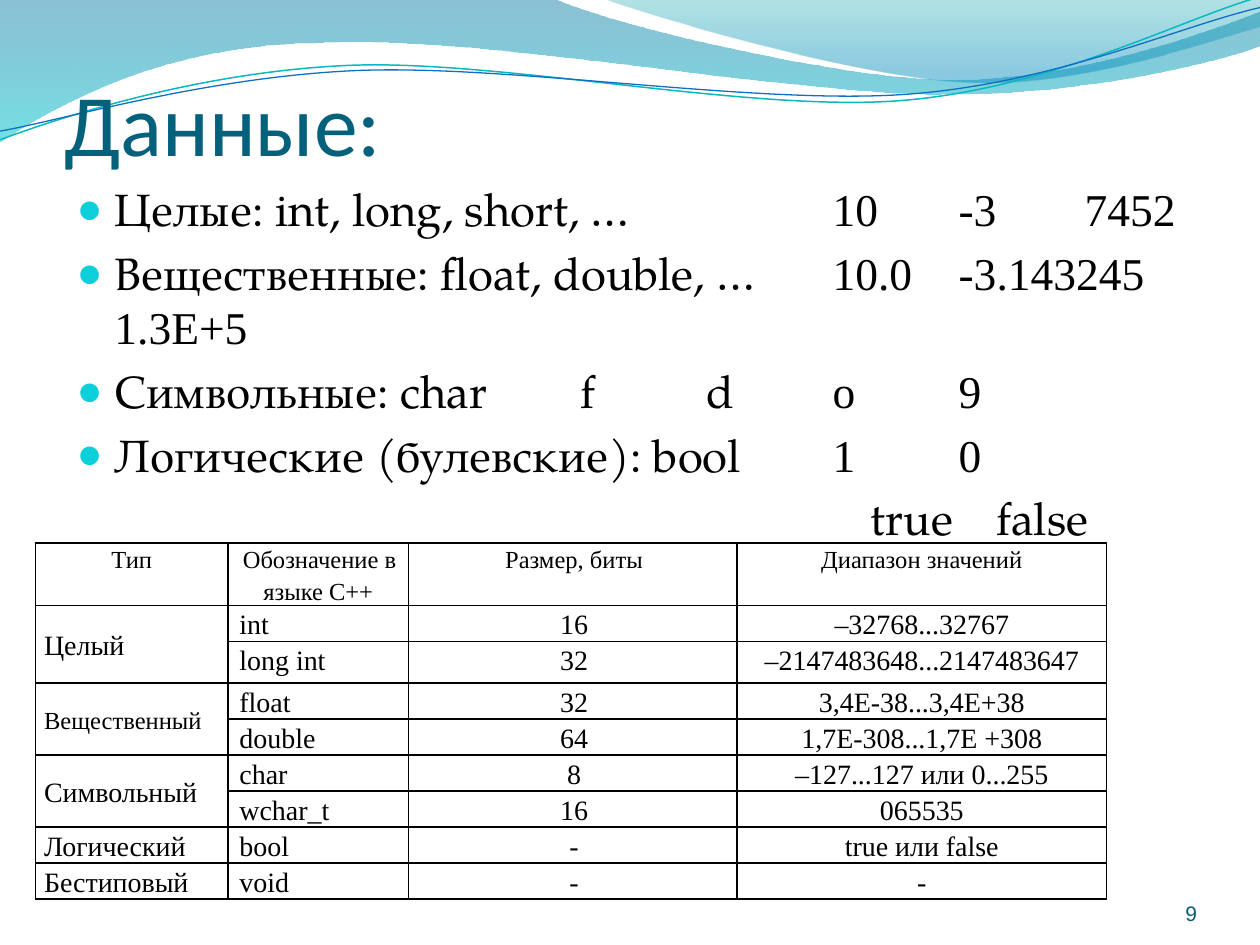
from lxml import etree
from pptx import Presentation
from pptx.dml.color import RGBColor
from pptx.enum.text import MSO_ANCHOR, PP_ALIGN
from pptx.oxml.ns import qn
from pptx.util import Pt

LEFT, MID, RIGHT = PP_ALIGN.LEFT, PP_ALIGN.CENTER, PP_ALIGN.RIGHT
TOP, HALF, LOW = MSO_ANCHOR.TOP, MSO_ANCHOR.MIDDLE, MSO_ANCHOR.BOTTOM

BLACK = RGBColor(0x00, 0x00, 0x00)
TEAL = RGBColor(0x04, 0x61, 0x7B)
DEEP = RGBColor(0x04, 0x5D, 0x75)
AQUA = RGBColor(0x0A, 0xB8, 0xBF)
BLUE = RGBColor(0x0F, 0x6F, 0xC6)
CYAN = RGBColor(0x0B, 0xD0, 0xD9)
SEA = RGBColor(0x00, 0x74, 0xA1)
MINT = RGBColor(0x00, 0xC6, 0xCF)
JADE = RGBColor(0x00, 0xA1, 0xA9)
SKY = RGBColor(0x00, 0x8B, 0xBF)

SERIF, BOOK = "Times New Roman", "TeX Gyre Pagella"

BANDS = [
    ([(0, -0.7), (316.8, -0.7),
      (342.7, 12.2, 478.1, 45.4, 545.8, 45.4),
      (614.2, 45.4, 689.8, 18.7, 720, 6.5), (720.7, 25.9),
      (707.8, 31.7, 626.4, 54.7, 537.1, 54),
      (447.8, 54, 275, 20.2, 185, 24.5),
      (92.9, 25.2, 33.1, 59.8, -0.7, 81.4)],
     [(SEA, 0, 45), (MINT, 1, 55)]),
    ([(344.9, -0.7), (366.5, 7.9, 491, 44.6, 553.7, 46.8),
      (616.3, 49.7, 691.9, 23, 720, 15.1), (720, 0)],
     [(JADE, 0, 30), (SKY, 0.8, 45)]),
]
LINES = [
    ([(0, 79.9), (34.6, 67, 113.8, 41, 199.4, 37.4),
      (284.4, 33.8, 427, 64.1, 513.4, 57.6),
      (599.8, 51.1, 675.4, 10.8, 718.6, -1.4)], AQUA, 0.85),
    ([(0, 74.9), (33.8, 69.1, 118.1, 43.9, 203.8, 40.3),
      (290.2, 36.7, 429.8, 59.8, 516.2, 54),
      (601.9, 48.2, 673.2, 15.1, 720, 4.3)], BLUE, 0.75),
]
ITEMS = [
    [("Целые: int, long, short, …\t\t", BOOK), ("10\t-3\t7452", SERIF)],
    [("Вещественные: float, double, …\t", BOOK),
     ("10.0\t-3.143245\t1.3E+5", SERIF)],
    [("Символьные: char\tf\td\t", BOOK), ("o\t9", SERIF)],
    [("Логические (булевские): bool\t", BOOK), ("1\t0", SERIF)],
    [("\t\t\t\t\t\t\ttrue\tfalse", BOOK)],
]
COLS = [110.2, 103, 187.9, 211]
HIGHS = [35.3, 20.6, 23.8] + [20.6] * 6
ROWS = [
    ("Тип", "Обозначение в языке С++", "Размер, биты", "Диапазон значений"),
    ("Целый", "int", "16", "–32768...32767"),
    ("", "long int", "32", "–2147483648...2147483647"),
    ("Вещественный", "float", "32", "3,4Е-38...3,4Е+38"),
    ("", "double", "64", "1,7Е-308...1,7Е +308"),
    ("Символьный", "char", "8", "–127...127 или 0...255"),
    ("", "wchar_t", "16", "065535"),
    ("Логический", "bool", "-", "true или false"),
    ("Бестиповый", "void", "-", "-"),
]


def style(run, face, size, color):
    run.font.name = face
    run.font.size = Pt(size)
    run.font.color.rgb = color


def add_box(slide, box, pad, anchor):
    frame = slide.shapes.add_textbox(*map(Pt, box)).text_frame
    frame.word_wrap = True
    frame.vertical_anchor = anchor
    (frame.margin_left, frame.margin_top,
     frame.margin_right, frame.margin_bottom) = map(Pt, pad)
    return frame


def add_label(slide, box, pad, text, face, size, color, align):
    frame = add_box(slide, box, pad, LOW)
    frame.text = text
    para = frame.paragraphs[0]
    para.alignment = align
    style(para.runs[0], face, size, color)


def add_curve(slide, box, steps, close):
    spots = [(Pt(box[0] + x), Pt(box[1] + y))
             for step in steps for x, y in zip(step[::2], step[1::2])]
    pen = slide.shapes.build_freeform(*spots[0])
    pen.add_line_segments(spots[1:], close=close)
    shape = pen.convert_to_shape()
    shape.shadow.inherit = False
    route = next(shape._element.iter(qn("a:path")))
    nodes = iter(route.findall(qn("a:lnTo")))
    for step in steps[1:]:
        trio = [next(nodes) for _ in step[::2]]
        if len(trio) == 3:
            curve = route.makeelement(qn("a:cubicBezTo"))
            trio[0].addprevious(curve)
            for node in trio:
                curve.append(node[0])
                route.remove(node)
    return shape


def add_waves(slide, box):
    for steps, stops in BANDS:
        shape = add_curve(slide, box, steps, True)
        shape.line.fill.background()
        shape.fill.gradient()
        shape.fill.gradient_angle = 270
        for stop, (color, spot, _) in zip(shape.fill.gradient_stops, stops):
            stop.color.rgb = color
            stop.position = spot
        tones = shape._element.spPr.find(qn("a:gradFill")).iter(qn("a:srgbClr"))
        for tone, (_, _, alpha) in zip(list(tones), stops):
            etree.SubElement(tone, qn("a:alpha"), val=str(alpha * 1000))
    for steps, color, width in LINES:
        shape = add_curve(slide, box, steps, False)
        shape.fill.background()
        shape.line.color.rgb = color
        shape.line.width = Pt(width)


def add_dot(props):
    tint = etree.SubElement(props, qn("a:buClr"))
    etree.SubElement(tint, qn("a:srgbClr"), val=str(CYAN))
    etree.SubElement(props, qn("a:buSzPct"), val="95000")
    etree.SubElement(props, qn("a:buFont"), typeface="Arial")
    etree.SubElement(props, qn("a:buChar"), char="●")


def add_list(slide, box):
    frame = add_box(slide, box, (7.2, 3.6, 7.2, 3.6), TOP)
    for i, parts in enumerate(ITEMS):
        para = frame.paragraphs[0] if i == 0 else frame.add_paragraph()
        para.space_before = Pt(5.2)
        for text, face in parts:
            run = para.add_run()
            run.text = text
            style(run, face, 26, BLACK)
        props = para._p.get_or_add_pPr()
        props.set("marL", str(Pt(21.6)))
        props.set("indent", str(Pt(-21.6)))
        props.set("defTabSz", str(Pt(72)))
        if len(parts) > 1:
            add_dot(props)
        else:
            etree.SubElement(props, qn("a:buNone"))


def add_edge(cell):
    props = cell._tc.get_or_add_tcPr()
    for side in ("L", "R", "T", "B"):
        edge = etree.SubElement(props, qn("a:ln" + side), w=str(Pt(1)))
        fill = etree.SubElement(edge, qn("a:solidFill"))
        etree.SubElement(fill, qn("a:srgbClr"), val=str(BLACK))


def add_types(slide, box):
    table = slide.shapes.add_table(len(ROWS), len(COLS), *map(Pt, box)).table
    table.first_row = table.horz_banding = False
    for col, width in zip(table.columns, COLS):
        col.width = Pt(width)
    for row, high in zip(table.rows, HIGHS):
        row.height = Pt(high)
    for r, texts in enumerate(ROWS):
        for c, text in enumerate(texts):
            cell = table.cell(r, c)
            add_edge(cell)
            cell.fill.background()
            cell.margin_left = cell.margin_right = Pt(5)
            cell.margin_top = cell.margin_bottom = Pt(0)
            cell.text = text
            para = cell.text_frame.paragraphs[0]
            size = 14 if r == 0 or text == "Вещественный" else 16
            para.line_spacing = Pt(round(size * 1.27, 1))
            para.alignment = MID if r == 0 or c > 1 else LEFT
            if c in (1, 2):
                para._p.get_or_add_pPr().set("indent", str(Pt(1.44)))
            for run in para.runs:
                style(run, SERIF, size, BLACK)
            if not text:
                head = table.cell(r - 1, c)
                head.merge(cell)
                head.vertical_anchor = HALF


def main():
    deck = Presentation()
    deck.slide_width, deck.slide_height = Pt(720), Pt(540)
    slide = deck.slides.add_slide(deck.slide_layouts[6])
    add_waves(slide, (0, 0, 720, 82))
    add_label(slide, (36.7, 9.4, 648, 90), (0, 3.6, 0, 0),
              "Данные:", "Calibri", 50, TEAL, LEFT)
    add_list(slide, (36.7, 100, 648, 226.8))
    add_label(slide, (624.2, 500.4, 59.8, 28.8), (0, 0, 0, 0),
              "9", "Arial", 12, DEEP, RIGHT)
    add_types(slide, (20.2, 310.3, sum(COLS), sum(HIGHS)))
    deck.save("out.pptx")


if __name__ == "__main__":
    main()
